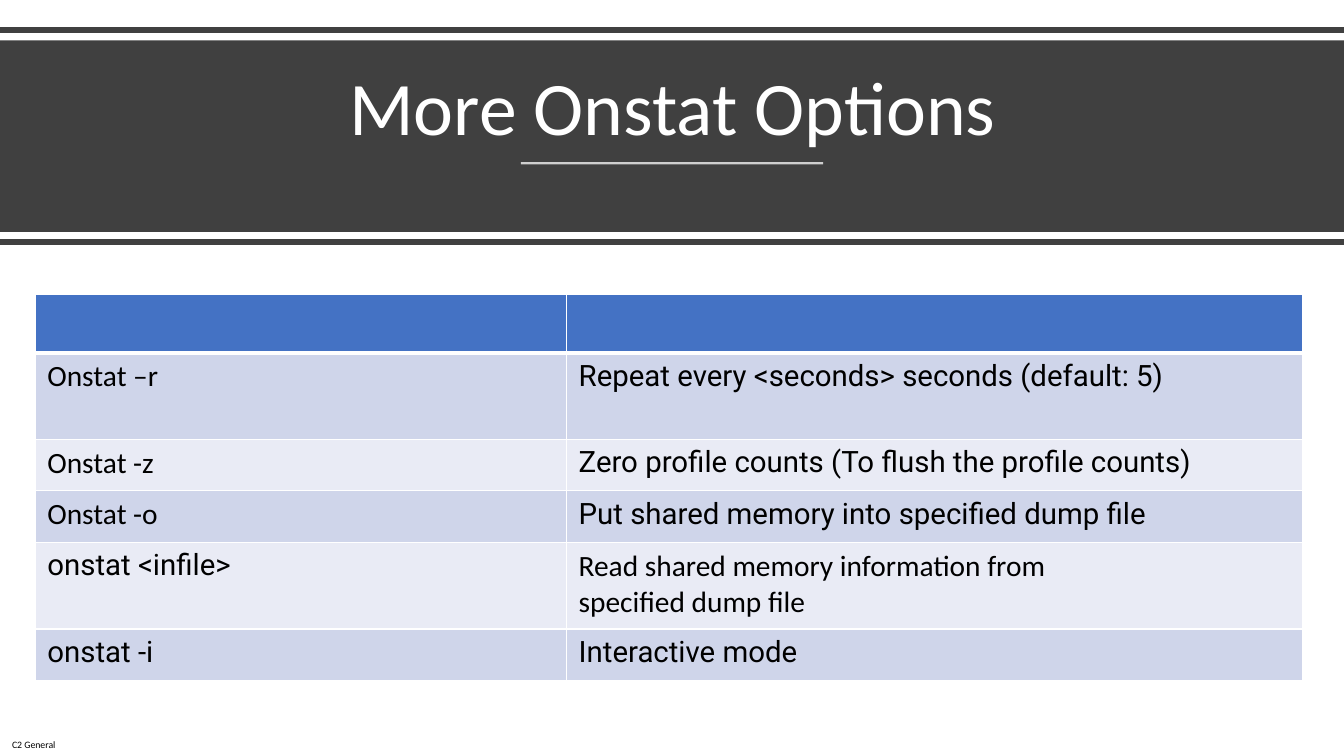
"""Build the slide that lists more onstat options."""
from lxml import etree
from pptx import Presentation, util as u
from pptx.dml.color import RGBColor
from pptx.enum import shapes, text
from pptx.oxml import ns, xmlchemy

TITLE = "More Onstat Options"
MARKING = "C2 General"
OPTIONS = [
    (("Onstat –r", "Calibri"), ("Repeat every <seconds> seconds (default: 5)", "Roboto")),
    (("Onstat -z", "Calibri"), ("Zero profile counts (To flush the profile counts)", "Roboto")),
    (("Onstat -o", "Calibri"), ("Put shared memory into specified dump file", "Roboto")),
    (("onstat <infile>", "Roboto"),
     ("Read shared memory information from\nspecified dump file", "Calibri")),
    (("onstat -i", "Roboto"), ("Interactive mode", "Roboto")),
]
THEME = {
    "dark": "404040", "light": "FFFFFF", "ink": "000000", "header": "4472C4",
    "bands": ("CFD5EA", "E9EBF5"), "font": "Calibri",
    "title": 54, "body": 21, "marking": 7,
}
WIDTH, HEIGHT = 13.33, 7.5
BAND_TOP, BAND_HEIGHT, RULE_GAP = 0.4, 1.9, 0.1
TABLE_LEFT, TABLE_TOP = 0.35, 2.92
COLUMNS = (5.27, 7.3)
HEADER_ROW, SHORT_ROW, TALL_ROW = 0.58, 0.51, 0.86
ROWS = (HEADER_ROW, TALL_ROW, SHORT_ROW, SHORT_ROW, TALL_ROW, SHORT_ROW)


def color(name):
    return RGBColor.from_string(THEME.get(name, name))


def box(left, top, width, height):
    return [u.Inches(length) for length in (left, top, width, height)]


def style(paragraph, size, ink, font=THEME["font"]):
    for run in paragraph.runs:
        run.font.size = u.Pt(THEME[size])
        run.font.name = font
        run.font.color.rgb = color(ink)


def add_rule(slide, left, right, y, ink, weight, opacity=100):
    rule = slide.shapes.add_connector(
        shapes.MSO_CONNECTOR.STRAIGHT, *box(left, y, right, y))
    rule.line.color.rgb = color(ink)
    rule.line.width = u.Pt(weight)
    properties = rule._element.spPr
    if opacity < 100:
        tint = next(properties.iter(ns.qn("a:srgbClr")))
        etree.SubElement(tint, ns.qn("a:alpha")).set("val", str(opacity * 1000))
    etree.SubElement(properties, ns.qn("a:effectLst"))


def set_borders(cell, weights):
    properties = cell._tc.get_or_add_tcPr()
    for place, (side, weight) in enumerate(weights.items()):
        edge = xmlchemy.OxmlElement("a:ln" + side)
        edge.set("w", str(u.Pt(weight)))
        fill = etree.SubElement(edge, ns.qn("a:solidFill"))
        etree.SubElement(fill, ns.qn("a:srgbClr")).set("val", THEME["light"])
        properties.insert(place, edge)


def add_heading(slide):
    add_rule(slide, 0, WIDTH, BAND_TOP - RULE_GAP, "dark", 4)
    band = slide.shapes.add_shape(
        shapes.MSO_SHAPE.RECTANGLE, *box(0, BAND_TOP, WIDTH, BAND_HEIGHT))
    band.shadow.inherit = False
    band.fill.solid()
    band.fill.fore_color.rgb = color("dark")
    band.line.fill.background()

    title = slide.shapes.title
    title.left, title.top, title.width, title.height = box(0.58, 0.54, 12.18, 1.02)
    title.text_frame.text = TITLE
    title.text_frame.word_wrap = True
    title.text_frame.auto_size = text.MSO_AUTO_SIZE.NONE
    title.text_frame.vertical_anchor = text.MSO_ANCHOR.BOTTOM
    heading = title.text_frame.paragraphs[0]
    heading.alignment = text.PP_ALIGN.CENTER
    heading.line_spacing = 0.9
    style(heading, "title", "light")
    band._element.addnext(title._element)

    add_rule(slide, WIDTH / 2 - 1.5, WIDTH / 2 + 1.5, 1.62, "light", 1.5, 75)
    add_rule(slide, 0, WIDTH, BAND_TOP + BAND_HEIGHT + RULE_GAP, "dark", 4)


def add_options(slide):
    table = slide.shapes.add_table(
        len(ROWS), len(COLUMNS),
        *box(TABLE_LEFT, TABLE_TOP, sum(COLUMNS), sum(ROWS))).table
    for column, width in zip(table.columns, COLUMNS):
        column.width = u.Inches(width)
    for row, height in zip(table.rows, ROWS):
        row.height = u.Inches(height)

    entries = [(("", THEME["font"]),) * len(COLUMNS)] + OPTIONS
    for r, entry in enumerate(entries):
        fill = THEME["bands"][(r - 1) % 2] if r else "header"
        for c, (words, font) in enumerate(entry):
            cell = table.cell(r, c)
            cell.margin_left = cell.margin_right = u.Inches(0.12)
            cell.margin_top = cell.margin_bottom = u.Inches(0.06)
            cell.fill.solid()
            cell.fill.fore_color.rgb = color(fill)
            set_borders(cell, {"L": 1, "R": 1, "T": 3 if r == 1 else 1, "B": 1 if r else 3})
            cell.text_frame.text = words
            for paragraph in cell.text_frame.paragraphs:
                style(paragraph, "body", "ink", font)


def add_marking(slide):
    frame = slide.shapes.add_textbox(*box(0.12, 7.27, 0.56, 0.23)).text_frame
    frame.margin_left = frame.margin_right = frame.margin_top = frame.margin_bottom = 0
    frame.vertical_anchor = text.MSO_ANCHOR.MIDDLE
    frame.text = MARKING
    style(frame.paragraphs[0], "marking", "ink")


def main():
    deck = Presentation()
    deck.slide_width, deck.slide_height = u.Inches(WIDTH), u.Inches(HEIGHT)
    slide = deck.slides.add_slide(deck.slide_layouts.get_by_name("Title Only"))
    add_marking(slide)
    add_heading(slide)
    add_options(slide)
    deck.save("out.pptx")


if __name__ == "__main__":
    main()
